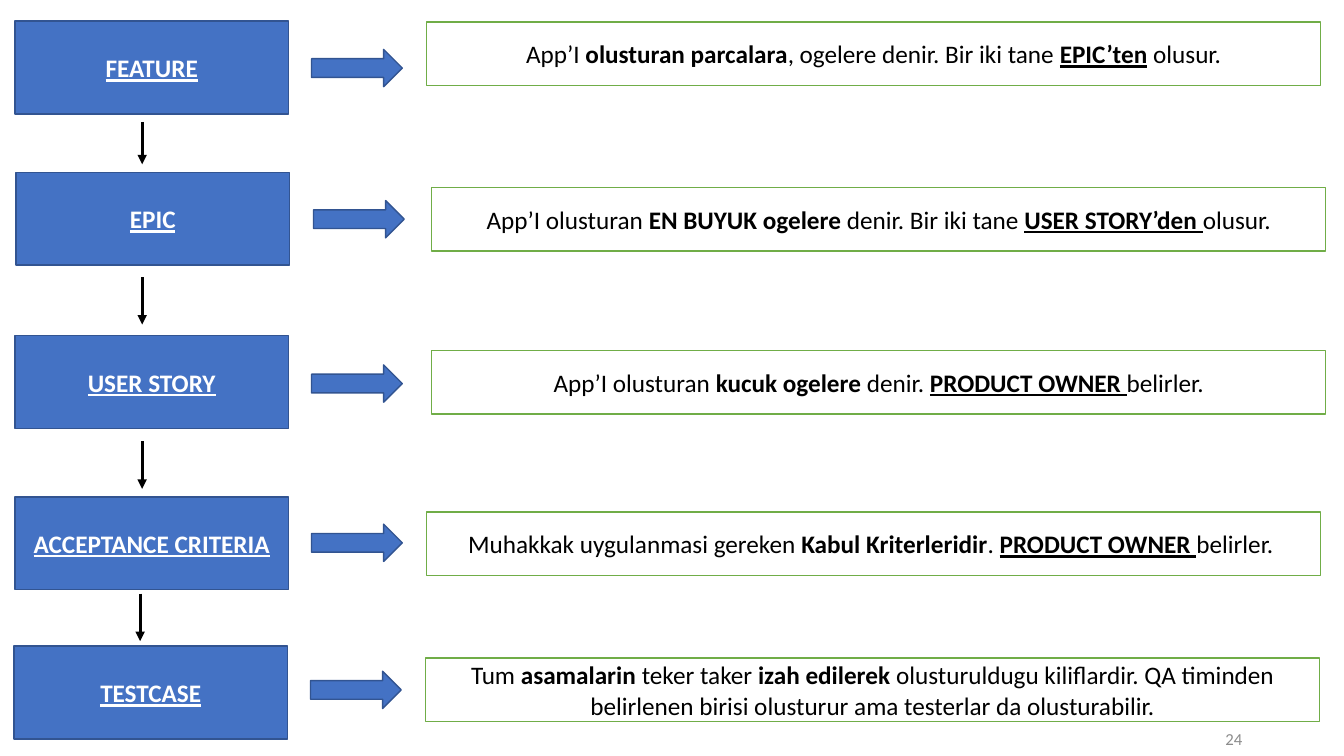
"""Build the slide that explains the levels from feature down to test case."""
from dataclasses import dataclass
from typing import NamedTuple

from lxml.etree import SubElement
from pptx import Presentation
from pptx.dml.color import RGBColor
from pptx.enum.shapes import MSO_CONNECTOR as Connector, MSO_SHAPE as Preset
from pptx.enum.text import MSO_ANCHOR as Anchor, PP_ALIGN as Align
from pptx.oxml.ns import qn
from pptx.util import Inches, Pt

COLOURS = {
    "blue": "4472C4",
    "navy": "325491",
    "green": "70AD47",
    "white": "FFFFFF",
    "black": "000000",
    "grey": "8C8C8C",
}
STYLES = {
    "plain": {"bold": False, "underline": False},
    "strong": {"bold": True, "underline": False},
    "key": {"bold": True, "underline": True},
}
FRAME = {"word_wrap": True, "vertical_anchor": Anchor.MIDDLE}
CARD_SIZE = (2.71, 0.92)
POINTER_SIZE = (0.9, 0.37)
NOTE_SIZE = (8.87, 0.63)


class Span(NamedTuple):
    text: str
    style: str = "plain"


class Spot(NamedTuple):
    left: float
    top: float


class Drop(NamedTuple):
    left: float
    top: float
    bottom: float


class Look(NamedTuple):
    fill: str
    line: str
    font: str


@dataclass(frozen=True)
class Stage:
    name: str
    card: Spot
    pointer: Spot
    note: Spot
    spans: tuple[Span, ...]


SOLID = Look("blue", "navy", "white")
OUTLINED = Look("white", "green", "black")

STAGES = (
    Stage("FEATURE", Spot(0.15, 0.21), Spot(3.09, 0.49), Spot(4.23, 0.22), (
        Span("App’I "), Span("olusturan parcalara", "strong"),
        Span(", ogelere denir. Bir iki tane "), Span("EPIC’ten", "key"),
        Span(" olusur."))),
    Stage("EPIC", Spot(0.16, 1.71), Spot(3.11, 1.99), Spot(4.28, 1.86), (
        Span("App’I olusturan "), Span("EN BUYUK ogelere ", "strong"),
        Span("denir. Bir iki tane "), Span("USER STORY’den ", "key"),
        Span("olusur."))),
    Stage("USER STORY", Spot(0.15, 3.33), Spot(3.09, 3.62), Spot(4.28, 3.48), (
        Span("App’I olusturan "), Span("kucuk ogelere ", "strong"),
        Span("denir. "), Span("PRODUCT OWNER ", "key"), Span("belirler."))),
    Stage("ACCEPTANCE CRITERIA", Spot(0.15, 4.93), Spot(3.09, 5.2), Spot(4.23, 5.08), (
        Span("Muhakkak uygulanmasi gereken "), Span("Kabul Kriterleridir", "strong"),
        Span(". "), Span("PRODUCT OWNER ", "key"), Span("belirler. "))),
    Stage("TESTCASE", Spot(0.14, 6.41), Spot(3.08, 6.66), Spot(4.22, 6.53), (
        Span("Tum "), Span("asamalarin ", "strong"), Span("teker taker "),
        Span("izah edilerek ", "strong"),
        Span("olusturuldugu kiliflardir. QA timinden belirlenen birisi "
             "olusturur ama testerlar da olusturabilir."))),
)
DROPS = (
    Drop(1.41, 1.21, 1.63),
    Drop(1.41, 2.75, 3.22),
    Drop(1.41, 4.38, 4.85),
    Drop(1.39, 5.89, 6.36),
)


def colour(name: str) -> RGBColor:
    """Return the named colour."""
    return RGBColor.from_string(COLOURS[name])


def apply(target, values: dict) -> None:
    """Set each attribute of the target from the values."""
    for name, value in values.items():
        setattr(target, name, value)


def write(box, spans: tuple[Span, ...], ink: str, size: int = 18,
          align: Align = Align.CENTER) -> None:
    """Write one paragraph of styled spans into a box."""
    apply(box.text_frame, FRAME)
    para = box.text_frame.paragraphs[0]
    para.alignment = align
    for span in spans:
        run = para.add_run()
        run.text = span.text
        apply(run.font, {"name": "Calibri", "size": Pt(size), **STYLES[span.style]})
        run.font.color.rgb = colour(ink)


def add_block(page, preset: Preset, spot: Spot, size: tuple[float, float],
              look: Look, spans: tuple[Span, ...] = ()) -> None:
    """Add a filled and outlined shape, with text if there are spans."""
    box = page.shapes.add_shape(preset, *map(Inches, (*spot, *size)))
    box.shadow.inherit = False
    box.fill.solid()
    box.fill.fore_color.rgb = colour(look.fill)
    box.line.color.rgb = colour(look.line)
    box.line.width = Pt(1)
    if spans:
        write(box, spans, look.font)


def add_drop(page, drop: Drop) -> None:
    """Add a downward arrow between two stages."""
    arrow = page.shapes.add_connector(Connector.STRAIGHT, *map(
        Inches, (drop.left, drop.top, drop.left, drop.bottom)))
    arrow.line.color.rgb = colour("black")
    arrow.line.width = Pt(2.25)
    SubElement(arrow.line._get_or_add_ln(), qn("a:tailEnd"), type="triangle")
    SubElement(arrow._element.spPr, qn("a:effectLst"))


def add_stage(page, stage: Stage) -> None:
    """Add the card of a stage, its pointer and its note."""
    add_block(page, Preset.RECTANGLE, stage.card, CARD_SIZE, SOLID,
              (Span(stage.name, "key"),))
    add_block(page, Preset.RIGHT_ARROW, stage.pointer, POINTER_SIZE, SOLID)
    add_block(page, Preset.RECTANGLE, stage.note, NOTE_SIZE, OUTLINED, stage.spans)


def main() -> None:
    """Build and save the deck."""
    deck = Presentation()
    apply(deck, {"slide_width": Inches(13.33), "slide_height": Inches(7.5)})
    page = deck.slides.add_slide(deck.slide_layouts[6])
    number = page.shapes.add_textbox(*map(Inches, (9.42, 7.18, 3, 0.3)))
    write(number, (Span("24"),), "grey", 12, Align.RIGHT)
    for stage in STAGES:
        add_stage(page, stage)
    for drop in DROPS:
        add_drop(page, drop)
    deck.save("out.pptx")


if __name__ == "__main__":
    main()
